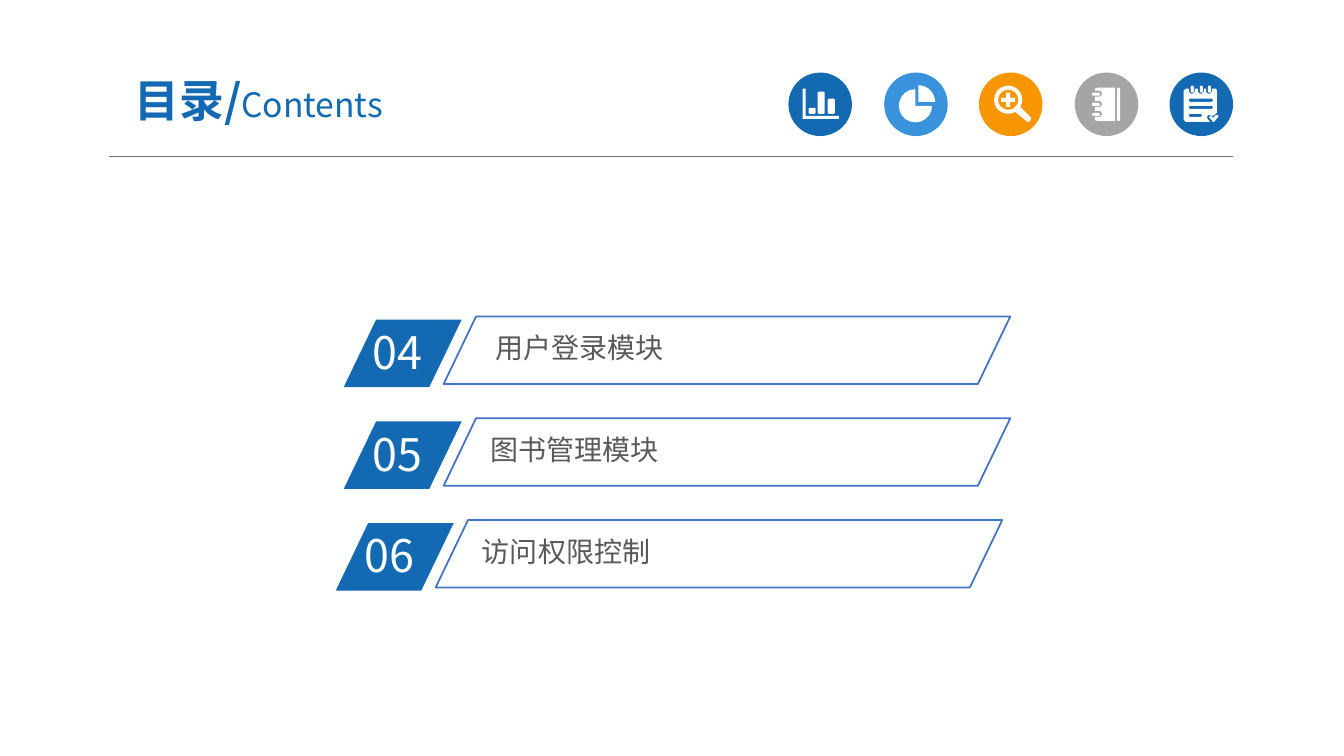
"""Build the contents slide with its icon header and three numbered entries."""
import dataclasses
import math

import pptx
import pptx.dml.color
import pptx.enum.shapes
import pptx.enum.text
import pptx.oxml.ns
import pptx.util
from lxml import etree

PX = 9144
SHAPES = pptx.enum.shapes.MSO_SHAPE
ALIGN = pptx.enum.text.PP_ALIGN
ANCHOR = pptx.enum.text.MSO_ANCHOR


@dataclasses.dataclass(frozen=True)
class Theme:
    font: str = "Noto Sans CJK SC"
    blue: str = "1369B2"
    sky: str = "3992DB"
    orange: str = "F79600"
    silver: str = "A5A5A5"
    white: str = "FFFFFF"
    outline: str = "4472C4"
    rule: str = "767171"
    caption: str = "595959"
    large: int = 32
    medium: int = 24
    small: int = 20


THEME = Theme()


def rgb(value):
    return pptx.dml.color.RGBColor.from_string(value)


def emu(*lengths):
    return [round(length * PX) for length in lengths]


def paint(shape, fill=None, line=None):
    shape.shadow.inherit = False
    if fill:
        shape.fill.solid()
        shape.fill.fore_color.rgb = rgb(fill)
    else:
        shape.fill.background()
    if line:
        shape.line.color.rgb = rgb(line)
        shape.line.width = pptx.util.Pt(1.25)
    else:
        shape.line.fill.background()


def add_text(page, frame, margins, spans, color, align=ALIGN.LEFT, anchor=ANCHOR.TOP):
    box = page.shapes.add_textbox(*emu(*frame)).text_frame
    box.word_wrap = True
    box.vertical_anchor = anchor
    box.margin_left, box.margin_top, box.margin_right, box.margin_bottom = emu(*margins * 2)
    para = box.paragraphs[0]
    para.alignment = align
    para.font.name = THEME.font
    para.font.color.rgb = rgb(color)
    defaults = para._p.pPr.find(pptx.oxml.ns.qn("a:defRPr"))
    etree.SubElement(defaults, pptx.oxml.ns.qn("a:ea"), typeface=THEME.font)
    for text, size, bold in spans:
        span = para.add_run()
        span.text = text
        span.font.size = pptx.util.Pt(size)
        span.font.bold = bold


def add_rule(page, left, top, right):
    rule = page.shapes.add_connector(
        pptx.enum.shapes.MSO_CONNECTOR.STRAIGHT, *emu(left, top, right, top))
    rule.line.color.rgb = rgb(THEME.rule)
    rule.line.width = pptx.util.Pt(0.5)
    etree.SubElement(rule._element.spPr, pptx.oxml.ns.qn("a:effectLst"))


def arc(center_x, center_y, radius, start, end):
    angles = [math.radians(degrees) for degrees in range(start, end + 1, 18)]
    return [(center_x + radius * math.cos(angle), center_y + radius * math.sin(angle))
            for angle in angles]


def bar(left, top, width, height):
    right, bottom = left + width, top + height
    return [(left + 1, top), (right - 1, top), (right, top + 1), (right, bottom - 1),
            (right - 1, bottom), (left + 1, bottom), (left, bottom - 1), (left, top + 1)]


def notch(edge, center, depth):
    floor = edge + depth
    return [(edge, center - 3), (floor - 2, center - 3), (floor, center - 1),
            (floor, center + 1), (floor - 2, center + 3), (edge, center + 3)]


def chart_icon():
    axes = [(14, 16), (17, 16), (17, 43), (50, 43), (50, 46), (14, 46)]
    columns = [(20, 35), (29, 19), (39, 26)]
    return [axes] + [bar(left, top, 7, 41 - top) for left, top in columns]


def pie_icon():
    return [[(31, 33)] + arc(31, 33, 16.5, 0, 270), [(34, 29)] + arc(34, 29, 16.5, 270, 360)]


def magnifier_icon():
    handle = [(36, 39), (41, 34), (52, 45), (51, 48), (48, 49)]
    plus = [(27, 20), (31, 20), (31, 25), (36, 25), (36, 29), (31, 29),
            (31, 34), (27, 34), (27, 29), (22, 29), (22, 25), (27, 25)]
    return [arc(29, 27, 14, 0, 342), arc(29, 27, 10, 0, 342), handle, plus]


def notebook_icon():
    centers = [21, 31, 41]
    bites = [point for center in centers for point in notch(20, center, 7)]
    cover = [(40, 48), (40, 15), (22, 15), (20, 16)] + bites + [(20, 47), (22, 48)]
    return [cover, bar(42, 15, 3, 33)] + [bar(17, center - 1, 8, 3) for center in centers]


def notepad_icon():
    centers = [22, 31, 39]
    bites = [(x, y) for center in centers for y, x in notch(16, center, 5)]
    sheet = [(14, 18), (16, 16)] + bites + [
        (46, 16), (47, 18), (47, 40), (43, 43), (38, 42),
        (37, 45), (40, 49), (16, 49), (14, 47)]
    check = [(39, 44), (41, 43), (43, 45), (46, 42), (49, 43), (44, 49), (43, 49)]
    lines = [bar(19, top, width, 3) for top, width in [(26, 24), (33, 24), (41, 13)]]
    return [sheet, check] + lines + [bar(center - 1, 13, 3, 7) for center in centers]


def add_icon(page, left, top, color, contours):
    disc = page.shapes.add_shape(SHAPES.OVAL, *emu(left, top, 63, 63))
    paint(disc, fill=color)
    placed = [[emu(left + x, top + y) for x, y in contour] for contour in contours]
    builder = page.shapes.build_freeform(*placed[0][0])
    for index, contour in enumerate(placed):
        if index:
            builder.move_to(*contour[0])
        builder.add_line_segments(contour[1:], close=True)
    paint(builder.convert_to_shape(), fill=THEME.white)


def add_parallelogram(page, left, top, width, **colors):
    shape = page.shapes.add_shape(SHAPES.PARALLELOGRAM, *emu(left, top, width, 67))
    shape.adjustments[0] = 0.48
    paint(shape, **colors)


def add_entry(page, left, top, number, caption, caption_left):
    add_parallelogram(page, left, top, 117, fill=THEME.blue)
    add_text(page, (left + 19, top, 112, 64), (10, 5),
             [(number, THEME.large, False)], THEME.white)
    add_text(page, (caption_left, top + 7, 412, 41), (7, 4),
             [(caption, THEME.small, False)], THEME.caption)
    add_parallelogram(page, left + 99, top - 3, 562, line=THEME.outline)


def main():
    deck = pptx.Presentation()
    deck.slide_width, deck.slide_height = emu(1333, 750)
    page = deck.slides.add_slide(deck.slide_layouts[6])

    add_rule(page, 108, 155, 1223)
    icons = [(THEME.blue, chart_icon), (THEME.sky, pie_icon), (THEME.orange, magnifier_icon),
             (THEME.silver, notebook_icon), (THEME.blue, notepad_icon)]
    for index, (color, outline) in enumerate(icons):
        add_icon(page, 782 + (189 * index + 1) // 2, 72, color, outline())

    add_text(page, (92, 63, 329, 72), (13, 7),
             [("目录/", THEME.large, True), ("Contents", THEME.medium, False)],
             THEME.blue, ALIGN.CENTER, ANCHOR.MIDDLE)

    entries = [(341, "04", "用户登录模块", 484), (341, "05", "图书管理模块", 479),
               (333, "06", "访问权限控制", 471)]
    for index, (left, number, caption, caption_left) in enumerate(entries):
        add_entry(page, left, 317 + 101 * index, number, caption, caption_left)

    deck.save("out.pptx")


if __name__ == "__main__":
    main()
